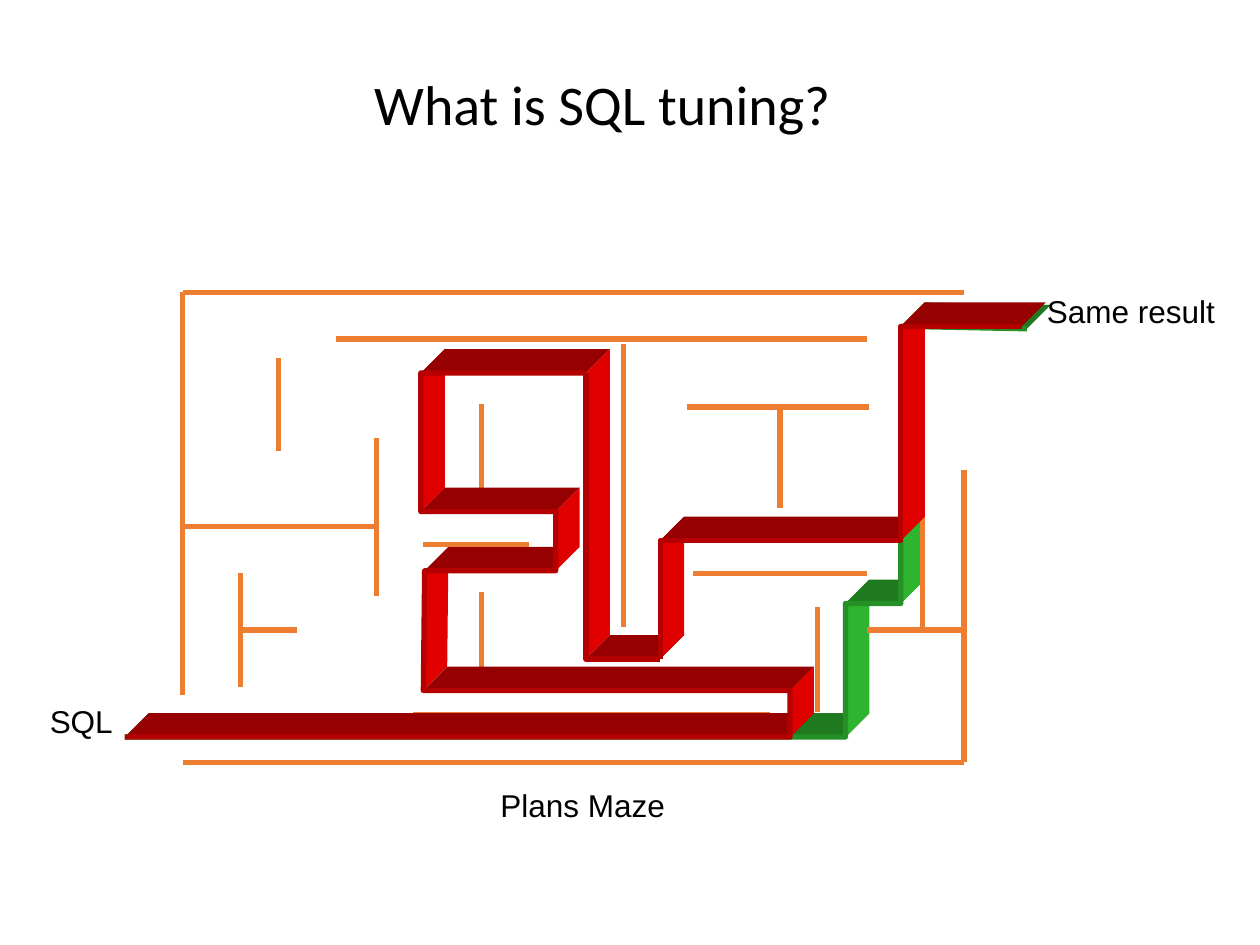
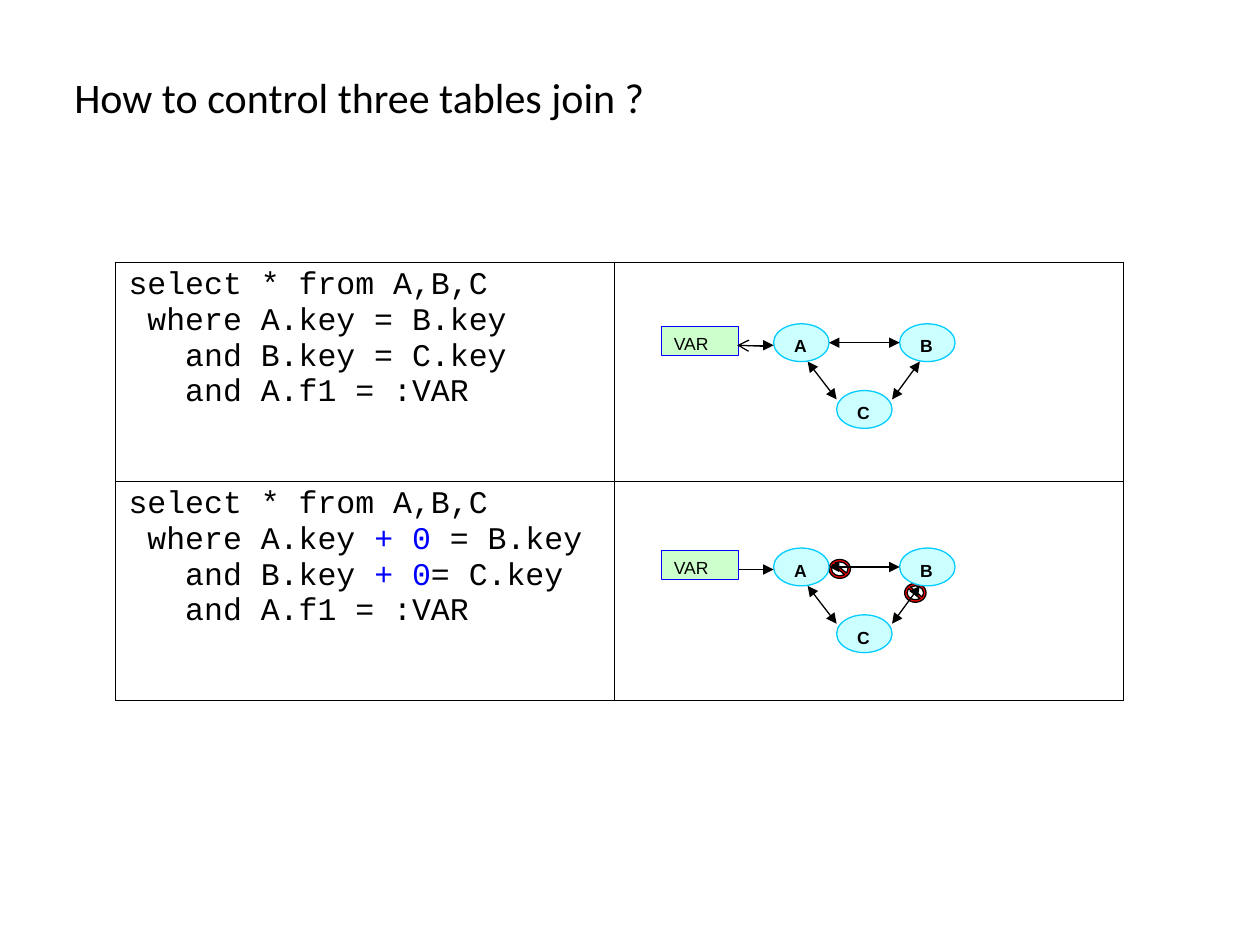
import dataclasses
import itertools

import pptx
import pptx.dml.color
import pptx.enum.shapes
import pptx.enum.text
import pptx.oxml.ns
import pptx.util
from lxml import etree

Inches = pptx.util.Inches
Align = pptx.enum.text.PP_ALIGN
Anchor = pptx.enum.text.MSO_ANCHOR
Preset = pptx.enum.shapes.MSO_SHAPE


@dataclasses.dataclass(frozen=True)
class Theme:
    heading: str = "Calibri"
    body: str = "Arial"
    code: str = "Courier New"
    text: str = "000000"
    highlight: str = "0000FF"
    wall: str = "ED7D31"
    red: tuple = ("B40000", "960000", "E00000")
    green: tuple = ("259025", "1F7A1F", "2EB42E")
    node_fill: str = "CCFFFF"
    node_line: str = "00CCFF"
    var_fill: str = "CCFFCC"
    blocked: str = "FF0000"
    main_size: float = 32
    title_size: float = 24
    text_size: float = 18
    node_size: float = 10
    thick: float = 3
    thin: float = 0.75


THEME = Theme()
DEPTH = (0.19, -0.19)

WALLS = [
    (0, 3.73, 6.2, 3.73), (0, 0, 0, 3.2), (0, 0, 6.2, 0),
    (0.46, 2.23, 0.46, 3.13), (0.46, 2.68, 0.91, 2.68), (0, 1.86, 1.53, 1.86),
    (0.76, 0.52, 0.76, 1.26), (1.54, 1.16, 1.54, 2.41), (3.5, 0.41, 3.5, 2.66),
    (5.87, 0.58, 5.87, 2.66), (4.74, 0.89, 4.74, 1.71), (4.05, 2.23, 5.43, 2.23),
    (2.37, 0.89, 2.37, 1.56), (2.37, 2.38, 2.37, 3.05), (5.04, 2.5, 5.04, 3.33),
    (5.43, 2.68, 6.2, 2.68), (4, 0.91, 5.45, 0.91), (6.2, 1.41, 6.2, 3.73),
    (1.22, 0.37, 5.43, 0.37), (1.83, 3.35, 4.66, 3.35),
]
FRONT_WALL = (1.91, 2, 2.75, 2)
SHORT_ROUTE = [(-0.46, 3.53), (5.26, 3.53), (5.26, 2.47), (5.7, 2.47), (5.7, 0.27), (6.7, 0.29)]
LONG_ROUTE_SECTIONS = [
    [(-0.46, 3.53), (4.82, 3.53), (4.82, 3.16), (1.91, 3.16), (1.92, 2.21), (2.96, 2.21),
     (2.96, 1.74), (1.89, 1.74), (1.89, 0.64), (3.2, 0.64)],
    [(3.2, 0.64), (3.2, 2.91), (3.79, 2.91)],
    [(3.79, 2.91), (3.79, 1.97), (5.7, 1.97), (5.7, 0.27), (6.66, 0.27)],
]
MAZE_LABELS = [
    ("Plans Maze", 2.35, 3.87, 1.65),
    ("Same result", 6.7, -0.05, 1.65),
    ("SQL", -1.31, 3.2, 1.01),
]

PLAIN_QUERY = [
    "select * from A,B,C",
    " where A.key = B.key",
    "   and B.key = C.key",
    "   and A.f1 = :VAR",
]
CONTROLLED_QUERY = [
    "select * from A,B,C",
    [" where A.key ", ("+ 0", THEME.highlight), " = B.key"],
    ["   and B.key ", ("+ 0", THEME.highlight), "= C.key"],
    "   and A.f1 = :VAR",
]

TABLES = [("A", 0.89, 0), ("B", 1.89, 0), ("C", 1.39, 0.53)]
JOINS = [(1.33, 0.15, 1.89, 0.15), (1.16, 0.3, 1.39, 0.6), (1.83, 0.6, 2.05, 0.3)]
BLOCKED_ENDS = [(1.33, 0.09), (1.93, 0.28)]


def rgb(value):
    return pptx.dml.color.RGBColor.from_string(value)


def write(frame, lines, font=THEME.body, size=THEME.text_size, bold=False,
          align=Align.LEFT, spacing=1.0):
    for index, line in enumerate(lines):
        paragraph = frame.add_paragraph() if index else frame.paragraphs[0]
        paragraph.alignment = align
        paragraph.line_spacing = spacing
        for part in [line] if isinstance(line, str) else line:
            words, color = (part, THEME.text) if isinstance(part, str) else part
            run = paragraph.add_run()
            run.text = words
            run.font.name = font
            run.font.size = pptx.util.Pt(size)
            run.font.bold = bold
            run.font.color.rgb = rgb(color)


def prepare(frame, anchor=Anchor.TOP):
    frame.word_wrap = True
    frame.auto_size = pptx.enum.text.MSO_AUTO_SIZE.NONE
    frame.vertical_anchor = anchor
    frame.margin_left = frame.margin_right = Inches(0.1)
    frame.margin_top = frame.margin_bottom = Inches(0.05)


def paint(shape, fill=None, line=None, width=THEME.thin):
    shape.shadow.inherit = False
    if fill:
        shape.fill.solid()
        shape.fill.fore_color.rgb = rgb(fill)
    else:
        shape.fill.background()
    if line:
        shape.line.color.rgb = rgb(line)
        shape.line.width = pptx.util.Pt(width)
    else:
        shape.line.fill.background()


def add_title(deck, text, left, top, width, height, **style):
    slide = deck.slides.add_slide(deck.slide_layouts[5])
    title = slide.shapes.title
    title.left, title.top = Inches(left), Inches(top)
    title.width, title.height = Inches(width), Inches(height)
    prepare(title.text_frame, Anchor.MIDDLE)
    write(title.text_frame, [text], font=THEME.heading, **style)
    return slide


def add_line(slide, left, top, ends, color=THEME.text, width=THEME.thin, head=None, tail=None):
    x1, y1, x2, y2 = ends
    line = slide.shapes.add_connector(
        pptx.enum.shapes.MSO_CONNECTOR.STRAIGHT,
        Inches(left + x1), Inches(top + y1), Inches(left + x2), Inches(top + y2))
    line.line.color.rgb = rgb(color)
    line.line.width = pptx.util.Pt(width)
    properties = line.line._get_or_add_ln()
    for tag, kind in (("a:headEnd", head), ("a:tailEnd", tail)):
        if kind:
            etree.SubElement(properties, pptx.oxml.ns.qn(tag), type=kind)
    etree.SubElement(line._element.spPr, pptx.oxml.ns.qn("a:effectLst"))


def add_outline(slide, left, top, points, close, **style):
    corners = [(Inches(left + x), Inches(top + y)) for x, y in points]
    builder = slide.shapes.build_freeform(*corners[0], scale=1.0)
    builder.add_line_segments(corners[1:], close=close)
    paint(builder.convert_to_shape(), **style)


def add_route(slide, left, top, route, shades):
    edge, floor, side = shades
    dx, dy = DEPTH
    for (x1, y1), (x2, y2) in itertools.pairwise(route):
        face = [(x1, y1), (x2, y2), (x2 + dx, y2 + dy), (x1 + dx, y1 + dy)]
        shade = floor if abs(x2 - x1) > abs(y2 - y1) else side
        add_outline(slide, left, top, face, True, fill=shade)
    add_outline(slide, left, top, route, False, line=edge, width=THEME.thick)


def add_maze(slide, left, top):
    add_route(slide, left, top, SHORT_ROUTE, THEME.green)
    for wall in WALLS:
        add_line(slide, left, top, wall, THEME.wall, THEME.thick)
    for section in LONG_ROUTE_SECTIONS:
        add_route(slide, left, top, section, THEME.red)
    add_line(slide, left, top, FRONT_WALL, THEME.wall, THEME.thick)
    for text, x, y, width in MAZE_LABELS:
        label = slide.shapes.add_textbox(
            Inches(left + x), Inches(top + y), Inches(width), Inches(0.4))
        prepare(label.text_frame)
        write(label.text_frame, [text], align=Align.CENTER)


def add_node(slide, preset, text, x, y, width, height, fill, line, bold=False):
    node = slide.shapes.add_shape(preset, Inches(x), Inches(y), Inches(width), Inches(height))
    paint(node, fill, line)
    prepare(node.text_frame)
    write(node.text_frame, [text], size=THEME.node_size, bold=bold)


def add_join_graph(slide, left, top, controlled):
    if controlled:
        for x, y in BLOCKED_ENDS:
            sign = slide.shapes.add_shape(
                Preset.NO_SYMBOL, Inches(left + x), Inches(top + y), Inches(0.17), Inches(0.15))
            sign.adjustments[0] = 0.13
            paint(sign, THEME.blocked, THEME.text)
    for name, x, y in TABLES:
        add_node(slide, Preset.OVAL, name, left + x, top + y, 0.44, 0.3,
                 THEME.node_fill, THEME.node_line, bold=True)
    for join in JOINS:
        add_line(slide, left, top, join, head="triangle", tail="triangle")
    add_line(slide, left, top, (0.61, 0.17, 0.89, 0.17), tail="triangle")
    add_node(slide, Preset.RECTANGLE, "VAR", left, top + 0.02, 0.61, 0.23,
             THEME.var_fill, THEME.highlight)
    if not controlled:
        add_line(slide, left, top, (0.86, 0.18, 0.6, 0.17), tail="arrow")


def add_borders(cell):
    properties = cell._tc.get_or_add_tcPr()
    for edge in ("a:lnL", "a:lnR", "a:lnT", "a:lnB"):
        border = etree.SubElement(properties, pptx.oxml.ns.qn(edge),
                                  w=str(pptx.util.Pt(THEME.thin)))
        fill = etree.SubElement(border, pptx.oxml.ns.qn("a:solidFill"))
        etree.SubElement(fill, pptx.oxml.ns.qn("a:srgbClr"), val=THEME.text)


def add_query_table(slide, left, top, width, height):
    queries = [PLAIN_QUERY, CONTROLLED_QUERY]
    table = slide.shapes.add_table(
        len(queries), 2, Inches(left), Inches(top), Inches(width), Inches(height)).table
    table.first_row = table.horz_banding = False
    table.columns[0].width = Inches(3.96)
    table.columns[1].width = Inches(width - 3.96)
    for cell in table.iter_cells():
        add_borders(cell)
        cell.fill.background()
    for row, query in enumerate(queries):
        write(table.cell(row, 0).text_frame, query, font=THEME.code)
        add_join_graph(slide, left + 4.33, top + 0.49 + row * 1.78, controlled=row == 1)


def build_tuning_slide(deck):
    slide = add_title(deck, "What is SQL tuning?", 2.87, 0.5, 5.14, 0.64, size=THEME.main_size)
    add_maze(slide, 1.45, 2.32)


def build_join_slide(deck):
    slide = add_title(deck, "How to control three tables join ?", 0.49, 0.56, 6.85, 0.46,
                      size=THEME.title_size, spacing=0.9)
    add_query_table(slide, 0.92, 2.08, 8, 3.48)


def main():
    deck = pptx.Presentation()
    deck.slide_width, deck.slide_height = Inches(10), Inches(7.5)
    build_tuning_slide(deck)
    build_join_slide(deck)
    deck.save("out.pptx")


if __name__ == "__main__":
    main()
